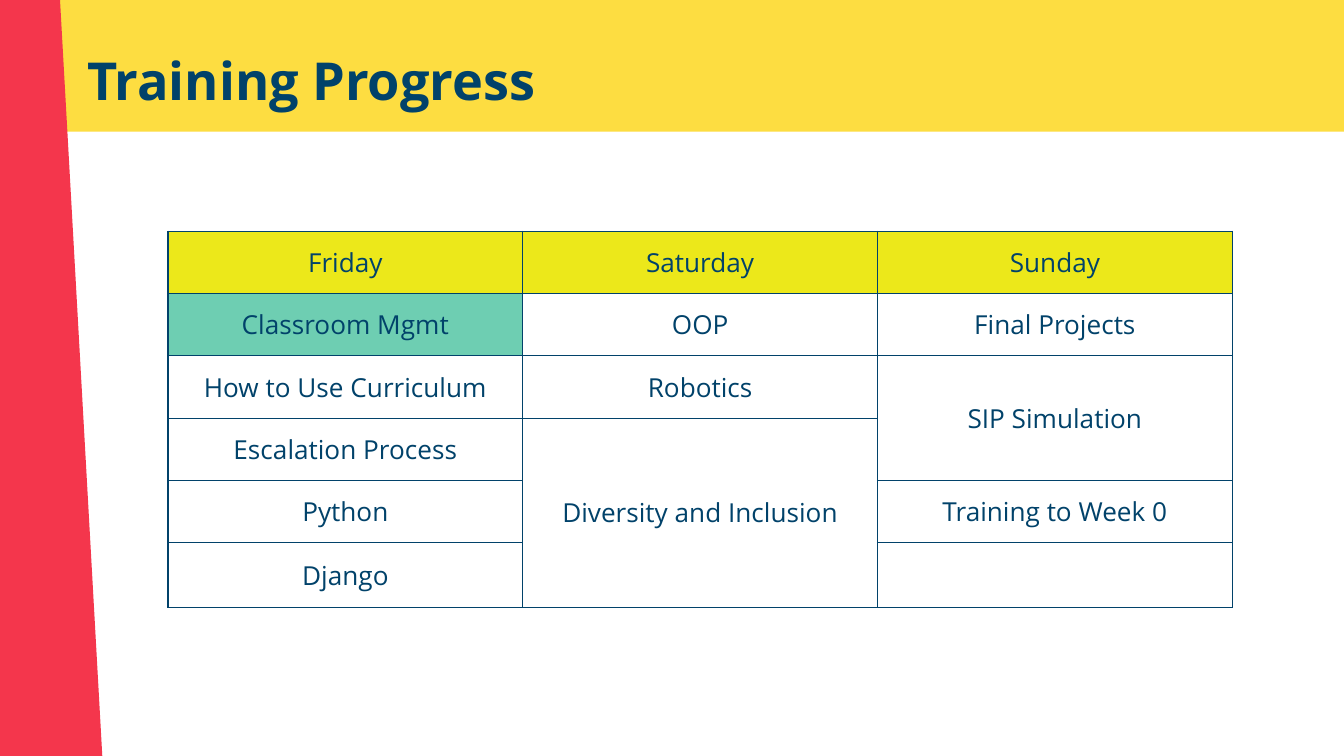
from lxml import etree
from pptx import Presentation
from pptx import util as u
from pptx.dml.color import RGBColor
from pptx.enum import shapes, text
from pptx.oxml.ns import qn

W = 10
H = W * 9 / 16
FONT = "Open Sans"
NAVY, YELLOW, RED = "01426A", "FDDD41", "F4364C"
LIME, GREEN = "ECE81A", "6ECEB2"
COL_W, ROW_H, LAST_ROW_H = 2.64, 2.32 / 5, 0.48
SCHEDULE = [
    ["Friday", "Saturday", "Sunday"],
    ["Classroom Mgmt", "OOP", "Final Projects"],
    ["How to Use Curriculum", "Robotics", "SIP Simulation"],
    ["Escalation Process", "Diversity and Inclusion", ""],
    ["Python", "", "Training to Week 0"],
    ["Django", "", ""],
]
MERGES = [((2, 2), (3, 2)), ((3, 1), (5, 1))]
DONE = [(1, 0)]


def paint(fmt, color):
    fmt.solid()
    fmt.fore_color.rgb = RGBColor.from_string(color)


def style_font(font, size, bold=False):
    font.name = FONT
    font.size = u.Pt(size)
    font.bold = bold
    paint(font.fill, NAVY)


def add_bar(s, box, color, rotation=0):
    sp = s.shapes.add_shape(shapes.MSO_SHAPE.RECTANGLE, *map(u.Inches, box))
    sp.rotation = rotation
    sp.shadow.inherit = False
    paint(sp.fill, color)
    sp.line.fill.background()


def add_title(s, box, title):
    tf = s.shapes.add_textbox(*map(u.Inches, box)).text_frame
    tf.word_wrap = True
    tf.vertical_anchor = text.MSO_ANCHOR.MIDDLE
    tf.margin_left = tf.margin_right = u.Inches(0.1)
    tf.margin_top = tf.margin_bottom = u.Inches(0.1)
    tf.text = title
    style_font(tf.paragraphs[0].runs[0].font, 28, True)


def add_borders(cell, color, width):
    tc_pr = cell._tc.get_or_add_tcPr()
    for i, side in enumerate(("a:lnL", "a:lnR", "a:lnT", "a:lnB")):
        ln = etree.Element(qn(side), w=str(u.Pt(width)))
        fill = etree.SubElement(ln, qn("a:solidFill"))
        etree.SubElement(fill, qn("a:srgbClr"), val=color)
        tc_pr.insert(i, ln)


def style_cell(cell, words, color):
    cell.margin_left = cell.margin_right = u.Inches(0.1)
    cell.margin_top = cell.margin_bottom = u.Inches(0.1)
    cell.vertical_anchor = text.MSO_ANCHOR.MIDDLE
    if color:
        paint(cell.fill, color)
    else:
        cell.fill.background()
    add_borders(cell, NAVY, 0.75)
    p = cell.text_frame.paragraphs[0]
    p.text = words
    p.alignment = text.PP_ALIGN.CENTER
    style_font(p.runs[0].font if p.runs else p.font, 14)


def add_schedule(s, left, top):
    rows, cols = len(SCHEDULE), len(SCHEDULE[0])
    size = (cols * COL_W, (rows - 1) * ROW_H + LAST_ROW_H)
    table = s.shapes.add_table(rows, cols, *map(u.Inches, (left, top, *size))).table
    table.first_row = table.horz_banding = False
    for col in table.columns:
        col.width = u.Inches(COL_W)
    for i, row in enumerate(table.rows):
        row.height = u.Inches(LAST_ROW_H if i == rows - 1 else ROW_H)
    for i, line in enumerate(SCHEDULE):
        for j, words in enumerate(line):
            color = LIME if i == 0 else GREEN if (i, j) in DONE else None
            style_cell(table.cell(i, j), words, color)
    for start, end in MERGES:
        table.cell(*start).merge(table.cell(*end))


def main():
    prs = Presentation()
    prs.slide_width, prs.slide_height = u.Inches(W), u.Inches(H)
    s = prs.slides.add_slide(prs.slide_layouts[6])
    add_bar(s, (-0.84, -0.02, 1.1 * W, 1), YELLOW)
    add_bar(s, (-5.13, 0.7, 10.21, 1.08), RED, 86.8)
    add_title(s, (0.55, 0.26, 9.32, 0.66), "Training Progress")
    add_schedule(s, W / 8, 1.72)
    prs.save("out.pptx")


if __name__ == "__main__":
    main()
